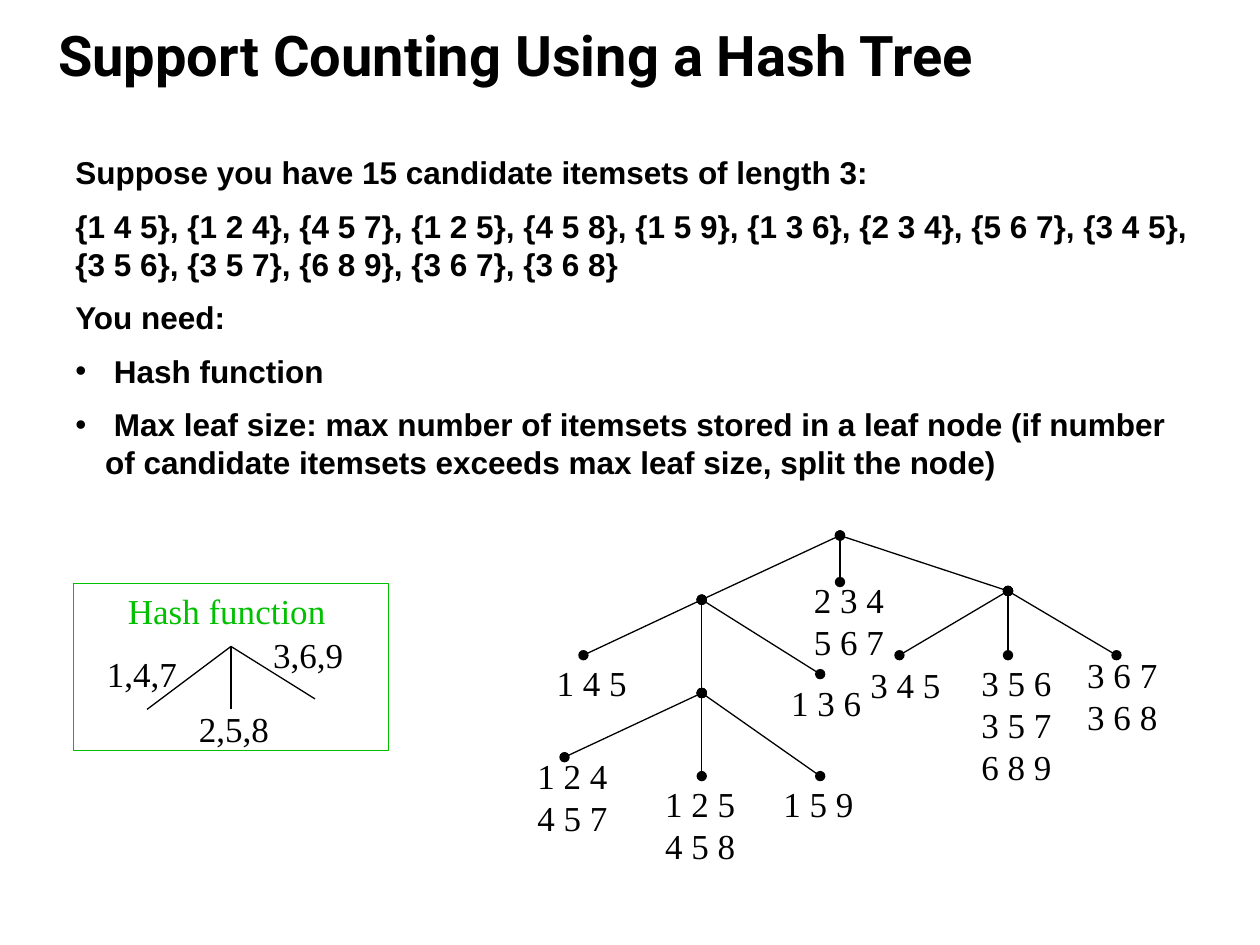
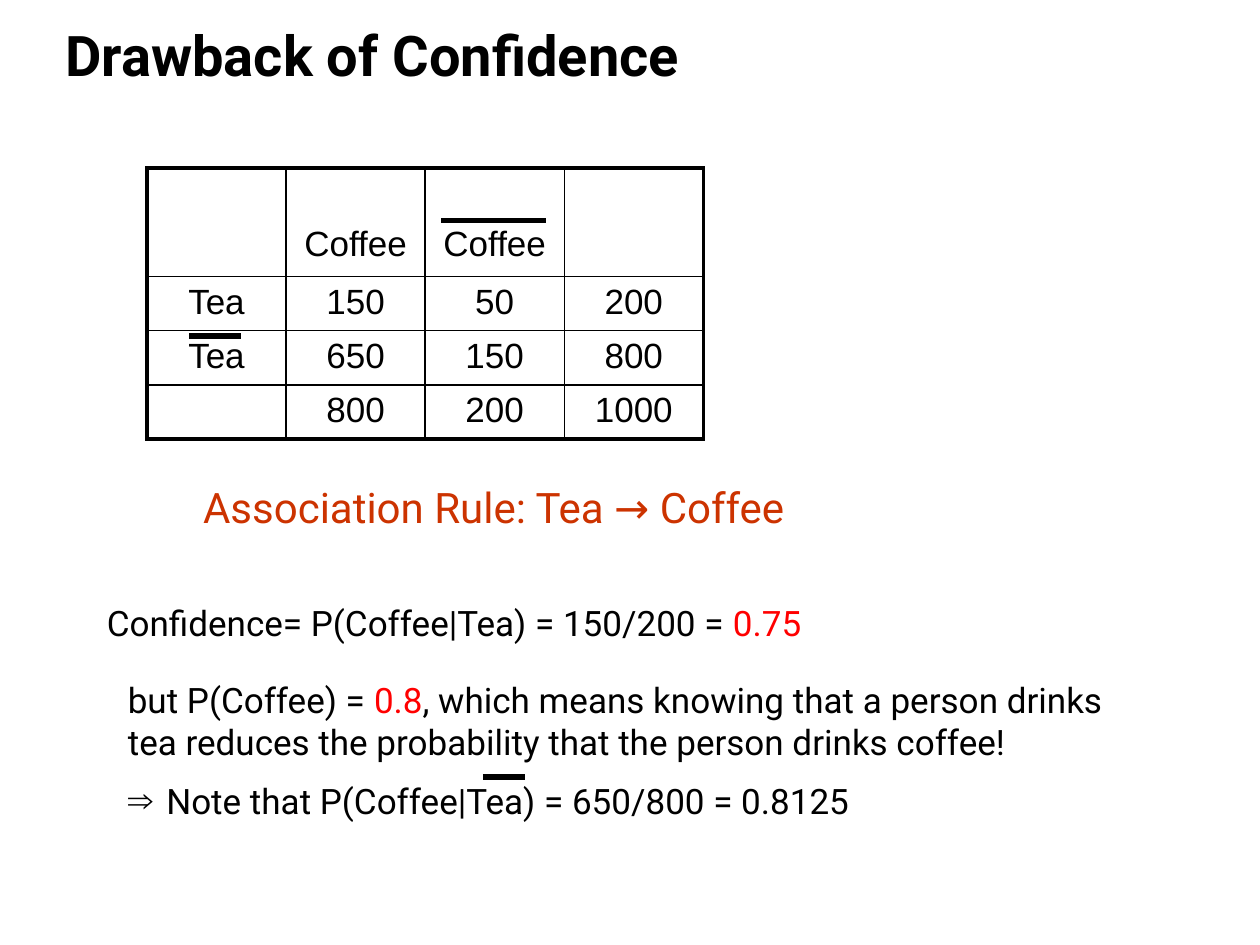
from lxml import etree
from pptx import Presentation
from pptx.dml.color import RGBColor
from pptx.enum import shapes, text
from pptx.oxml import ns
from pptx.util import Pt

BLACK, GREEN, RUST, RED = "000000", "00C000", "CC3300", "FF0000"
SERIF, SANS, ROBOTO = "Times New Roman", "Arial", "Roboto"
BULLET_INDENT = 17
LABEL_WIDTH, LABEL_LINE = 55, 24

# ---- Content: hash tree slide ----
TREE_TITLE = "Support Counting Using a Hash Tree"
# Paragraph: (bullet, left indent, space before, [(text, size, colour), ...])
INTRO = [(bullet, 0, 9, [(line, 18, BLACK)]) for bullet, line in [
    ("", "Suppose you have 15 candidate itemsets of length 3:"),
    ("", "{1 4 5}, {1 2 4}, {4 5 7}, {1 2 5}, {4 5 8}, {1 5 9}, {1 3 6}, {2 3 4}, "
         "{5 6 7}, {3 4 5}, {3 5 6}, {3 5 7}, {6 8 9}, {3 6 7}, {3 6 8}"),
    ("", "You need:"),
    ("•", " Hash function"),
    ("•", " Max leaf size: max number of itemsets stored in a leaf node (if number of "
          "candidate itemsets exceeds max leaf size, split the node)"),
]]
# Inner nodes: name -> (centre, parent)
INNER = {
    "root": ((480, 306), None),
    "left": ((401, 342.7), "root"),
    "right": ((576, 337.7), "root"),
    "deep": ((401, 396), "left"),
}
# Leaves: (parent, centre, label corner, itemsets)
LEAVES = [
    ("root", (480, 332.6), (458, 327), ["2 3 4", "5 6 7"]),
    ("left", (333.4, 374.4), (311, 374.4), ["1 4 5"]),
    ("left", (468.7, 385.2), (445, 386), ["1 3 6"]),
    ("deep", (322.6, 432.7), (300, 427.7), ["1 2 4", "4 5 7"]),
    ("deep", (401, 443.5), (373, 443.5), ["1 2 5", "4 5 8"]),
    ("deep", (468.7, 443.5), (440.6, 443.5), ["1 5 9"]),
    ("right", (514, 374.4), (490.3, 375.8), ["3 4 5"]),
    ("right", (576, 374.4), (553.7, 374.4), ["3 5 6", "3 5 7", "6 8 9"]),
    ("right", (638, 374.4), (614.2, 370), ["3 6 7", "3 6 8"]),
]
HASH_BOX = (42, 333.5, 180, 95.5)
HASH_ROOT = (132, 369.4)
# Branches: (end, label corner, values)
HASH_BRANCHES = [
    ((84, 405.4), (54, 369.4), "1,4,7"),
    ((132, 405.4), (106.6, 401), "2,5,8"),
    ((180, 399.4), (149, 358.6), "3,6,9"),
]

# ---- Content: confidence slide ----
CONFIDENCE_TITLE = "Drawback of Confidence"
COUNTS = [
    ["", "Coffee", "Coffee", ""],
    ["Tea", "150", "50", "200"],
    ["Tea", "650", "150", "800"],
    ["", "800", "200", "1000"],
]
TABLE_AT, COL_WIDTH, ROW_HEIGHTS = (84, 96), 79.5, (62, 31, 31, 31)
# Negation bars: (left, right, y)
NOT_BARS = [(252, 312, 126), (108, 138, 192), (276, 300, 444)]
RULE = [
    ("", 55, 0, [("Association Rule: Tea → Coffee", 24, RUST)]),
    ("", 0, 40, [("Confidence= P(Coffee|Tea) = 150/200 = ", 20, BLACK), ("0.75", 20, RED)]),
]
REMARK = [
    ("", 0, 0, [("but P(Coffee) = ", 20, BLACK), ("0.8", 20, RED),
                (", which means knowing that a person drinks tea reduces the probability "
                 "that the person drinks coffee!", 20, BLACK)]),
    ("⇒", 0, 10, [(" Note that P(Coffee|Tea) = 650/800 = 0.8125", 20, BLACK)]),
]


# ---- Helpers ----
def rgb(colour):
    return RGBColor.from_string(colour)


def style(font, name, size, colour=BLACK, bold=False):
    font.name, font.size, font.bold = name, Pt(size), bold
    font.color.rgb = rgb(colour)


def sub(parent, tag, **attrs):
    el = etree.SubElement(parent, ns.qn(tag))
    for key, value in attrs.items():
        el.set(key, str(value))
    return el


def titled_slide(prs, title, left):
    s = prs.slides.add_slide(prs.slide_layouts[5])
    sp = s.shapes.title
    sp.left, sp.top, sp.width, sp.height = Pt(left), Pt(12), Pt(652), Pt(42)
    tf = sp.text_frame
    tf.text = title
    tf.vertical_anchor = text.MSO_ANCHOR.BOTTOM
    tf.auto_size = text.MSO_AUTO_SIZE.NONE
    p = tf.paragraphs[0]
    p.alignment, p.line_spacing = text.PP_ALIGN.LEFT, Pt(36)
    style(p.runs[0].font, ROBOTO, 32, bold=True)
    return s


def add_line(s, start, end, width=0.75, ovals=False):
    c = s.shapes.add_connector(shapes.MSO_CONNECTOR.STRAIGHT,
                               *(Pt(v) for v in (*start, *end)))
    c.line.color.rgb, c.line.width = rgb(BLACK), Pt(width)
    if ovals:
        ln = c.line._get_or_add_ln()
        sub(ln, "a:headEnd", type="oval")
        sub(ln, "a:tailEnd", type="oval")
    sub(c._element.spPr, "a:effectLst")


def add_label(s, corner, lines, width=LABEL_WIDTH, colour=BLACK):
    height = 7 + LABEL_LINE * len(lines)
    tf = s.shapes.add_textbox(*(Pt(v) for v in (*corner, width, height))).text_frame
    tf.word_wrap = False
    tf.text = "\n".join(lines)
    for p in tf.paragraphs:
        style(p.runs[0].font, SERIF, 20, colour)


def add_body(s, box, paragraphs, font, bold=False):
    tf = s.shapes.add_textbox(*(Pt(v) for v in box)).text_frame
    tf.word_wrap = True
    for i, (bullet, indent, before, runs) in enumerate(paragraphs):
        p = tf.add_paragraph() if i else tf.paragraphs[0]
        pPr = p._p.get_or_add_pPr()
        if bullet:
            pPr.set("marL", str(Pt(BULLET_INDENT)))
            pPr.set("indent", str(-Pt(BULLET_INDENT)))
            sub(pPr, "a:buFont", typeface=SANS)
            sub(pPr, "a:buChar", char=bullet)
        elif indent:
            pPr.set("marL", str(Pt(indent)))
        if i:
            p.space_before = Pt(before)
        for words, size, colour in runs:
            r = p.add_run()
            r.text = words
            style(r.font, font, size, colour, bold)


def set_borders(cell, widths):
    tcPr = cell._tc.get_or_add_tcPr()
    for side, width in zip("LRTB", widths):
        ln = sub(tcPr, f"a:ln{side}", w=Pt(width))
        sub(sub(ln, "a:solidFill"), "a:srgbClr", val=BLACK)


def add_counts(s):
    rows, cols = len(COUNTS), len(COUNTS[0])
    frame = s.shapes.add_table(rows, cols, *(Pt(v) for v in (
        *TABLE_AT, COL_WIDTH * cols, sum(ROW_HEIGHTS))))
    tbl = frame.table
    tbl.first_row = tbl.horz_banding = False
    for col in tbl.columns:
        col.width = Pt(COL_WIDTH)
    for i, values in enumerate(COUNTS):
        tbl.rows[i].height = Pt(ROW_HEIGHTS[i])
        for j, value in enumerate(values):
            cell = tbl.cell(i, j)
            edges = (j == 0, j == cols - 1, i == 0, i == rows - 1)
            set_borders(cell, [2.25 if outer else 1 for outer in edges])
            cell.fill.background()
            if i == 0:
                cell.vertical_anchor = text.MSO_ANCHOR.BOTTOM
                cell.margin_bottom = Pt(7)
            if value:
                p = cell.text_frame.paragraphs[0]
                p.text = value
                p.alignment = text.PP_ALIGN.CENTER
                style(p.runs[0].font, SANS, 20)


# ---- Slides ----
def hash_tree_slide(prs):
    s = titled_slide(prs, TREE_TITLE, 26)

    # Candidate tree
    for centre, parent in INNER.values():
        if parent:
            add_line(s, INNER[parent][0], centre, ovals=True)
    for parent, centre, corner, itemsets in LEAVES:
        add_line(s, INNER[parent][0], centre, ovals=True)
        add_label(s, corner, itemsets)

    # Hash function legend
    for end, corner, values in HASH_BRANCHES:
        add_line(s, HASH_ROOT, end)
        add_label(s, corner, [values])
    add_label(s, (66, 333.5), ["Hash function"], 127.5, GREEN)
    box = s.shapes.add_shape(shapes.MSO_SHAPE.RECTANGLE, *(Pt(v) for v in HASH_BOX))
    box.shadow.inherit = False
    box.fill.background()
    box.line.color.rgb, box.line.width = rgb(GREEN), Pt(0.75)

    add_body(s, (36, 84, 654, 202), INTRO, SANS, bold=True)


def confidence_slide(prs):
    s = titled_slide(prs, CONFIDENCE_TITLE, 30)
    add_counts(s)
    add_body(s, (54, 271.5, 582, 101.5), RULE, ROBOTO)
    add_body(s, (66, 384, 582, 91.5), REMARK, ROBOTO)
    for left, right, y in NOT_BARS:
        add_line(s, (left, y), (right, y), width=3)


def main():
    prs = Presentation()
    prs.slide_width, prs.slide_height = Pt(720), Pt(540)
    hash_tree_slide(prs)
    confidence_slide(prs)
    prs.save("out.pptx")


if __name__ == "__main__":
    main()
